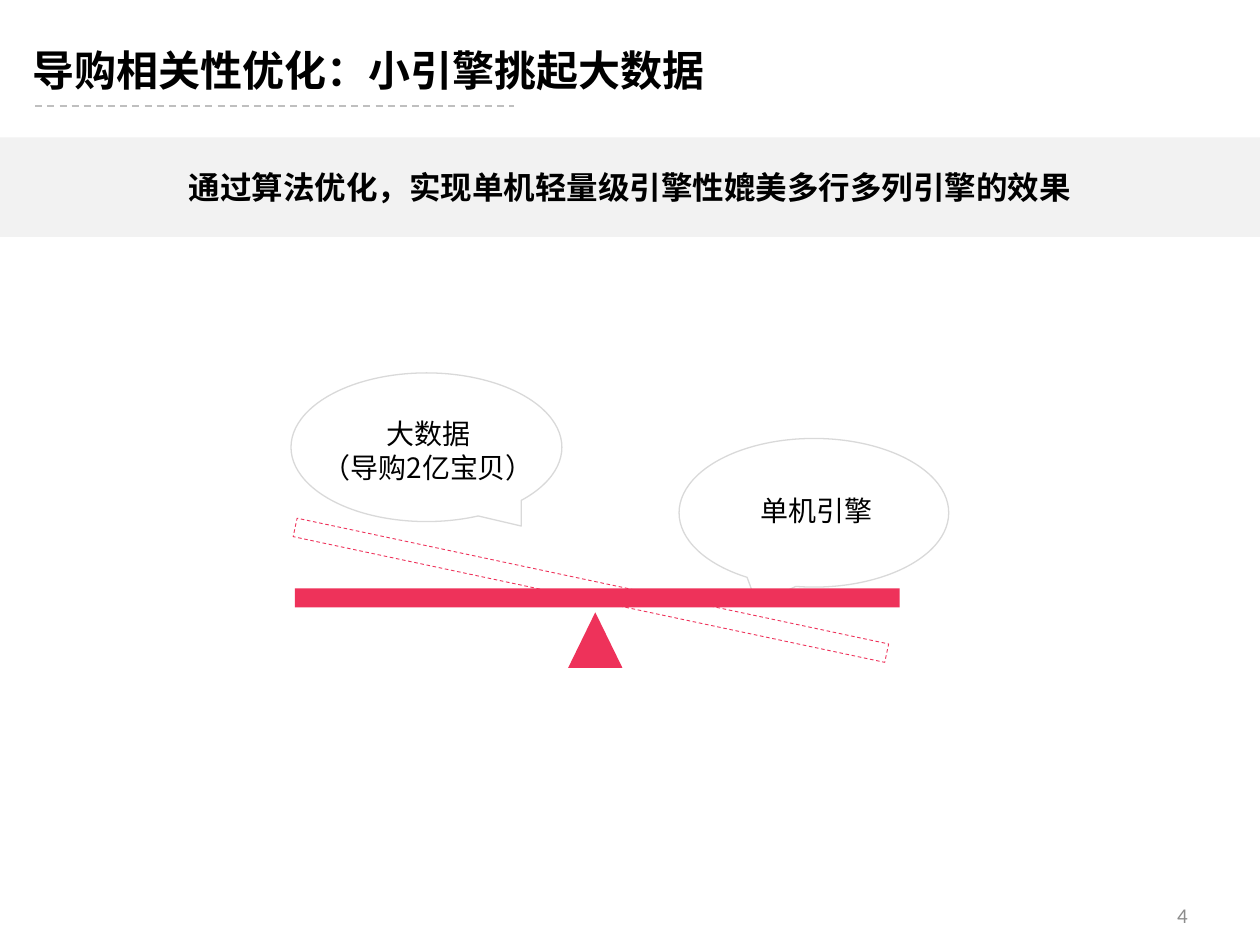
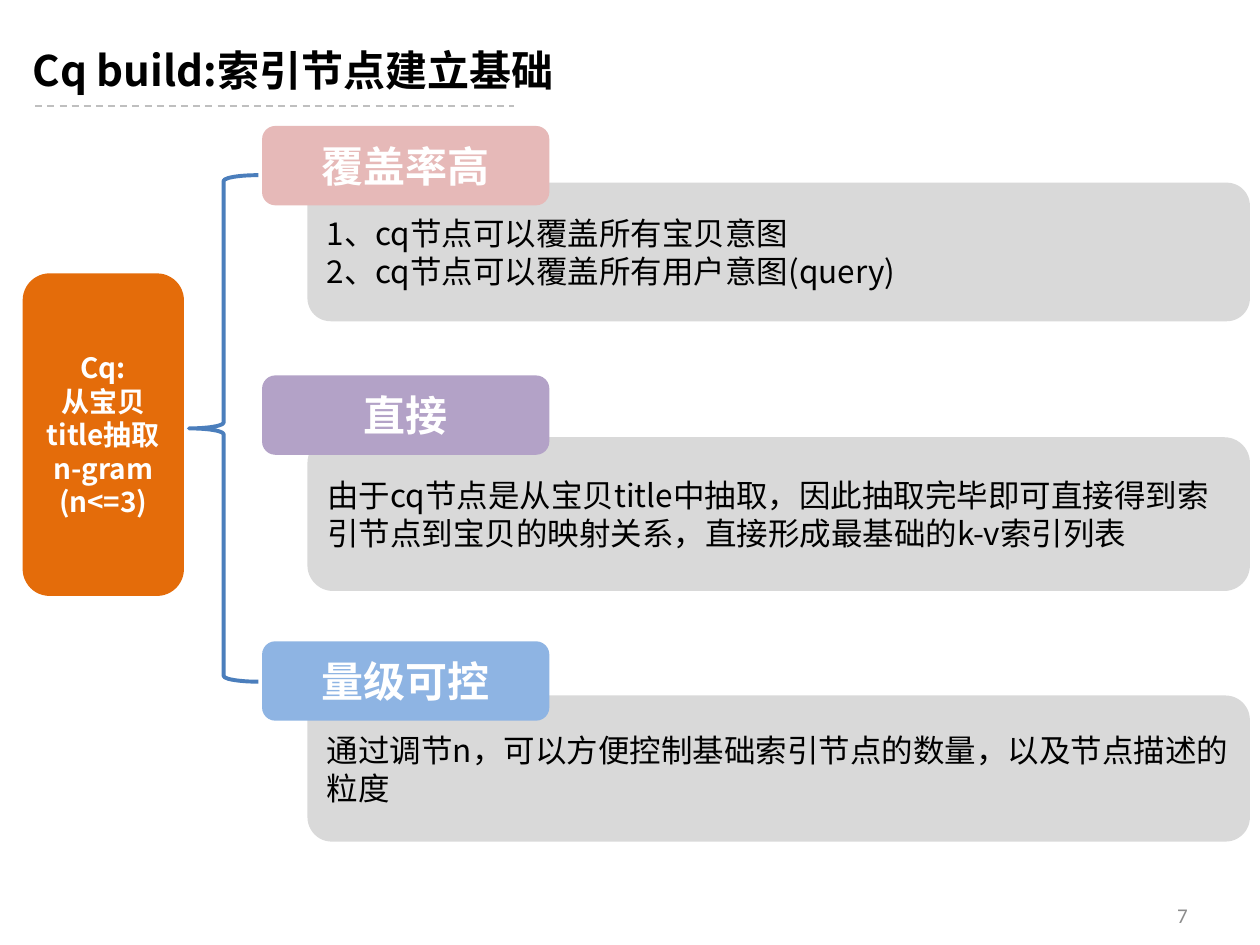
import dataclasses
import typing

import lxml.etree
import pptx
import pptx.dml.color
import pptx.enum.dml
import pptx.enum.shapes
import pptx.enum.text
import pptx.oxml.ns
import pptx.util

COLUMNS, ROWS = 100, 75
DECK_WIDTH, DECK_HEIGHT = pptx.util.Inches(10), pptx.util.Inches(7.5)
TEXT_FONT, NUMBER_FONT = "Noto Sans CJK SC", "Calibri"
BLACK, WHITE, GREY = "000000", "FFFFFF", "D9D9D9"
RULE_GREY, BAND_GREY, NUMBER_GREY = "BFBFBF", "F2F2F2", "8C8C8C"
RED, ORANGE, BLUE = "EE325A", "E46C0A", "4B7EBC"

Shape = pptx.enum.shapes.MSO_SHAPE
Anchor = pptx.enum.text.MSO_ANCHOR
Align = pptx.enum.text.PP_ALIGN
DASH = pptx.enum.dml.MSO_LINE.DASH


@dataclasses.dataclass(frozen=True)
class Area:
    left: float
    top: float
    width: float
    height: float

    def lengths(self) -> dict[str, int]:
        return {
            "left": across(self.left),
            "top": down(self.top),
            "width": across(self.width),
            "height": down(self.height),
        }


@dataclasses.dataclass(frozen=True)
class Style:
    size: float
    color: str = BLACK
    bold: bool = False
    align: Align = Align.LEFT
    anchor: Anchor = Anchor.TOP
    font: str = TEXT_FONT


@dataclasses.dataclass(frozen=True)
class Outline:
    color: str
    width: float
    dash: typing.Any = None


@dataclasses.dataclass(frozen=True)
class Callout:
    lines: list[str]
    text_area: Area
    bubble: Area
    align: Align
    tail: tuple[float, float]


@dataclasses.dataclass(frozen=True)
class Card:
    heading: str
    color: str
    heading_top: float
    body_top: float
    body_height: float
    lines: list[str]


TITLE = Style(24, bold=True)
BAND = Style(18, bold=True, align=Align.CENTER, anchor=Anchor.MIDDLE)
NUMBER = Style(12, NUMBER_GREY, False, Align.CENTER, Anchor.MIDDLE, NUMBER_FONT)
HEADING = Style(24, WHITE, True, Align.CENTER, Anchor.MIDDLE)
SOURCE = dataclasses.replace(HEADING, size=16)
BODY = Style(18, anchor=Anchor.MIDDLE)

CALLOUTS = [
    Callout(["单机引擎"], Area(59.4, 38.7, 19.1, 3.7),
            Area(53.9, 34.8, 21.4, 11.8), Align.LEFT, (-0.21, 0.62)),
    Callout(["大数据", "（导购2亿宝贝）"], Area(24.4, 32.6, 19.2, 6.4),
            Area(23.1, 29.6, 21.5, 11.8), Align.CENTER, (0.35, 0.53)),
]
CARDS = [
    Card("覆盖率高", "E6B9B8", 10, 14.5, 11,
         ["1、cq节点可以覆盖所有宝贝意图", "2、cq节点可以覆盖所有用户意图(query)"]),
    Card("直接", "B3A2C7", 29.8, 34.7, 12.2,
         ["由于cq节点是从宝贝title中抽取，因此抽取完毕即可直接得到"
          "索引节点到宝贝的映射关系，直接形成最基础的k-v索引列表"]),
    Card("量级可控", "8EB4E3", 50.9, 55.2, 11.6,
         ["通过调节n，可以方便控制基础索引节点的数量，以及节点描述的粒度"]),
]


def across(columns: float) -> int:
    return round(DECK_WIDTH * columns / COLUMNS)


def down(rows: float) -> int:
    return round(DECK_HEIGHT * rows / ROWS)


def rgb(color: str) -> pptx.dml.color.RGBColor:
    return pptx.dml.color.RGBColor.from_string(color)


def apply(target: typing.Any, values: dict[str, typing.Any]) -> None:
    for name, value in values.items():
        setattr(target, name, value)


def write(box: typing.Any, lines: list[str], style: Style) -> None:
    frame = box.text_frame
    apply(frame, {
        "word_wrap": True,
        "auto_size": pptx.enum.text.MSO_AUTO_SIZE.NONE,
        "vertical_anchor": style.anchor,
    })
    for index, line in enumerate(lines):
        para = frame.add_paragraph() if index else frame.paragraphs[0]
        para.alignment = style.align
        span = para.add_run()
        span.text = line
        apply(span.font, {
            "size": pptx.util.Pt(style.size),
            "bold": style.bold,
            "name": style.font,
        })
        span.font.color.rgb = rgb(style.color)
        east_asian = lxml.etree.Element(pptx.oxml.ns.qn("a:ea"), typeface=style.font)
        span.font._element.find(pptx.oxml.ns.qn("a:latin")).addnext(east_asian)


def draw_outline(target: typing.Any, outline: Outline) -> None:
    target.line.color.rgb = rgb(outline.color)
    apply(target.line, {"width": pptx.util.Pt(outline.width), "dash_style": outline.dash})


def add_shape(shapes: typing.Any, kind: Shape, area: Area,
              fill: str | None = None, outline: Outline | None = None) -> typing.Any:
    shape = shapes.add_shape(kind, **area.lengths())
    shape.shadow.inherit = False
    if fill:
        shape.fill.solid()
        shape.fill.fore_color.rgb = rgb(fill)
    else:
        shape.fill.background()
    if outline:
        draw_outline(shape, outline)
    else:
        shape.line.fill.background()
    return shape


def add_text(shapes: typing.Any, lines: list[str], area: Area, style: Style) -> None:
    write(shapes.add_textbox(**area.lengths()), lines, style)


def add_page(deck: typing.Any, title: str, number: int) -> typing.Any:
    page = deck.slides.add_slide(deck.slide_layouts.get_by_name("Title Only"))
    apply(page.shapes.title, Area(1.6, 3, 65, 7.7).lengths())
    write(page.shapes.title, [title], TITLE)
    rule = page.shapes.add_connector(
        pptx.enum.shapes.MSO_CONNECTOR.STRAIGHT,
        across(2.8), down(8.4), across(40.8), down(8.4))
    draw_outline(rule, Outline(RULE_GREY, 1, DASH))
    lxml.etree.SubElement(rule._element.spPr, pptx.oxml.ns.qn("a:effectLst"))
    add_text(page.shapes, [str(number)], Area(89.5, 70.6, 8.7, 4), NUMBER)
    return page


def add_callout(shapes: typing.Any, callout: Callout) -> None:
    add_text(shapes, callout.lines, callout.text_area, Style(16, align=callout.align))
    bubble = add_shape(shapes, Shape.OVAL_CALLOUT, callout.bubble,
                       outline=Outline(GREY, 0.75))
    for index, offset in enumerate(callout.tail):
        bubble.adjustments[index] = offset


def add_card(shapes: typing.Any, card: Card) -> None:
    body = add_shape(shapes, Shape.ROUNDED_RECTANGLE,
                     Area(24.4, card.body_top, 74.8, card.body_height), GREY)
    write(body, card.lines, BODY)
    heading = add_shape(shapes, Shape.ROUNDED_RECTANGLE,
                        Area(20.8, card.heading_top, 22.8, 6.3), card.color)
    write(heading, [card.heading], HEADING)


def build_balance(deck: typing.Any) -> None:
    page = add_page(deck, "导购相关性优化：小引擎挑起大数据", 4)
    band = add_shape(page.shapes, Shape.RECTANGLE, Area(0, 10.9, COLUMNS, 7.9), BAND_GREY)
    write(band, ["通过算法优化，实现单机轻量级引擎性媲美多行多列引擎的效果"], BAND)
    balance = page.shapes.add_group_shape().shapes
    for callout in CALLOUTS:
        add_callout(balance, callout)
    add_shape(balance, Shape.ISOSCELES_TRIANGLE, Area(45.1, 48.6, 4.3, 4.4), RED)
    tilted_beam = add_shape(balance, Shape.RECTANGLE, Area(22.9, 46.1, 48, 1.5),
                            outline=Outline(RED, 0.5, DASH))
    tilted_beam.rotation = 12
    add_shape(balance, Shape.RECTANGLE, Area(23.4, 46.7, 48, 1.5), RED)


def build_index_basis(deck: typing.Any) -> None:
    page = add_page(deck, "Cq build:索引节点建立基础", 7)
    for card in CARDS:
        add_card(page.shapes, card)
    add_shape(page.shapes, Shape.LEFT_BRACE, Area(15, 13.9, 5.5, 40.2),
              outline=Outline(BLUE, 2.25))
    source = add_shape(page.shapes, Shape.ROUNDED_RECTANGLE,
                       Area(1.8, 21.7, 12.8, 25.6), ORANGE)
    write(source, ["Cq:", "从宝贝title抽取n-gram", "(n<=3)"], SOURCE)


def main() -> None:
    deck = pptx.Presentation()
    apply(deck, {"slide_width": DECK_WIDTH, "slide_height": DECK_HEIGHT})
    build_balance(deck)
    build_index_basis(deck)
    deck.save("out.pptx")


if __name__ == "__main__":
    main()
